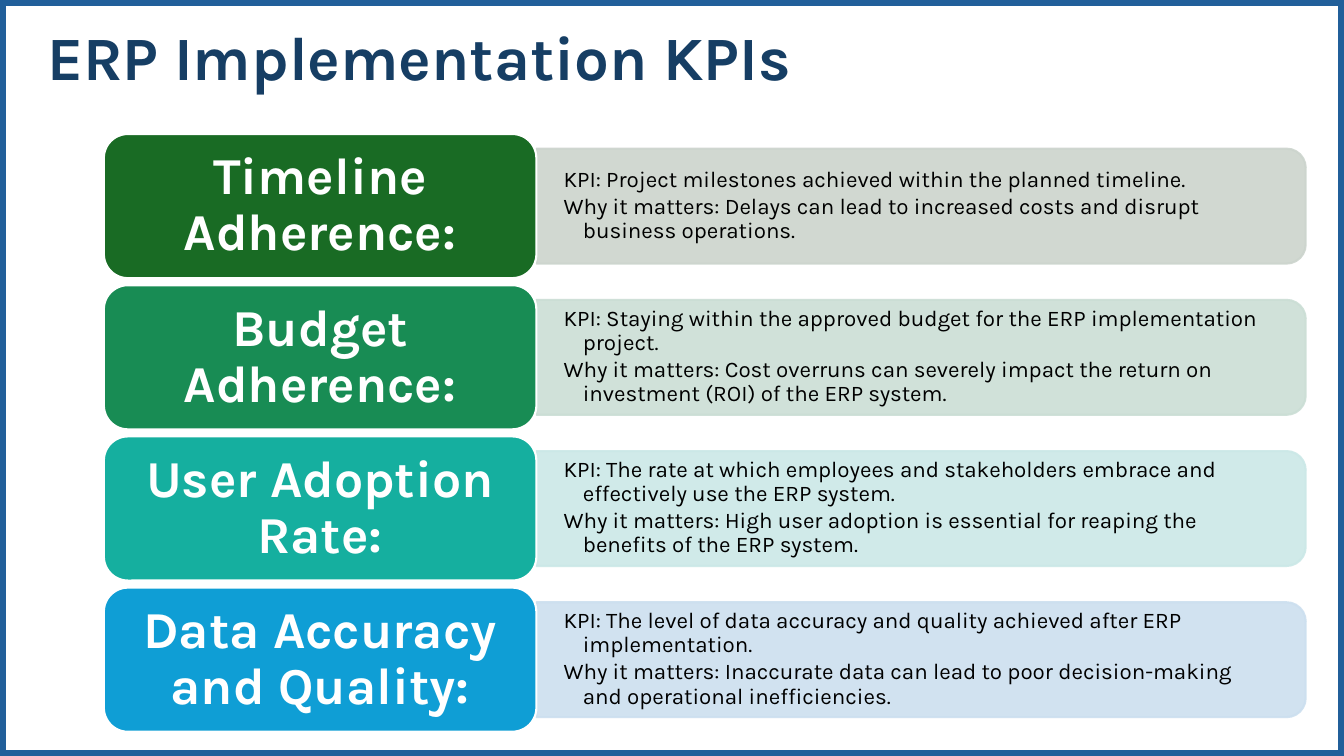
"""Build the ERP implementation KPIs slide."""
from lxml.etree import SubElement
from pptx import Presentation
from pptx.dml.color import RGBColor
from pptx.enum.shapes import MSO_SHAPE
from pptx.enum.text import MSO_ANCHOR, PP_ALIGN
from pptx.oxml.ns import qn
from pptx.util import Inches, Pt

COLORS = {"frame": "215F9A", "title": "163E64", "white": "FFFFFF", "black": "000000"}
FONT = "Karla"
KPIS = [
    ("Timeline Adherence:", "196B24", "CCD4CD",
     "KPI: Project milestones achieved within the planned timeline.",
     "Why it matters: Delays can lead to increased costs and disrupt business operations."),
    ("Budget Adherence:", "188C54", "CBDED5",
     "KPI: Staying within the approved budget for the ERP implementation project.",
     "Why it matters: Cost overruns can severely impact the return on investment (ROI) of the ERP system."),
    ("User Adoption Rate:", "15AF9F", "CBE8E7",
     "KPI: The rate at which employees and stakeholders embrace and effectively use the ERP system.",
     "Why it matters: High user adoption is essential for reaping the benefits of the ERP system."),
    ("Data Accuracy and Quality:", "0F9ED5", "CCDFEF",
     "KPI: The level of data accuracy and quality achieved after ERP implementation.",
     "Why it matters: Inaccurate data can lead to poor decision-making and operational inefficiencies."),
]
ROW_TOP, ROW_PITCH, ROW_HEIGHT = 1.33, 1.5, 1.43
NAME_LEFT, NAME_WIDTH = 1.03, 4.29
DETAIL_LEFT = NAME_LEFT + NAME_WIDTH
DETAIL_WIDTH, DETAIL_HEIGHT = 7.63, 1.14


def add_panel(kind, left, top, width, height, fill, line, weight):
    panel = slide.shapes.add_shape(kind, Inches(left), Inches(top), Inches(width), Inches(height))
    panel.shadow.inherit = False
    if fill:
        panel.fill.solid()
        panel.fill.fore_color.rgb = RGBColor.from_string(fill)
    else:
        panel.fill.background()
    panel.line.color.rgb = RGBColor.from_string(line)
    panel.line.width = Pt(weight)
    return panel


def write(holder, text, size, color, bold, align, inset_x, inset_y):
    frame = holder.text_frame
    frame.word_wrap = True
    frame.vertical_anchor = MSO_ANCHOR.MIDDLE
    frame.margin_left = frame.margin_right = Inches(inset_x)
    frame.margin_top = frame.margin_bottom = Inches(inset_y)
    frame.text = text
    for paragraph in frame.paragraphs:
        paragraph.alignment = align
        paragraph.line_spacing = 0.9
        for run in paragraph.runs:
            run.font.name = FONT
            run.font.size = Pt(size)
            run.font.bold = bold
            run.font.color.rgb = RGBColor.from_string(color)
    return frame


deck = Presentation()
deck.slide_width, deck.slide_height = Inches(13.33), Inches(7.5)
slide = deck.slides.add_slide(deck.slide_layouts[6])

add_panel(MSO_SHAPE.RECTANGLE, 0, 0, 13.33, 7.5, None, COLORS["frame"], 8.75)
title = slide.shapes.add_textbox(Inches(0.37), Inches(-0.12), Inches(11.5), Inches(1.45))
write(title, "ERP Implementation KPIs", 44, COLORS["title"], True, PP_ALIGN.LEFT, 0.1, 0.05)

for row, (name, strong, pale, measure, reason) in enumerate(KPIS):
    top = ROW_TOP + row * ROW_PITCH
    middle = top + ROW_HEIGHT / 2

    band = add_panel(MSO_SHAPE.ROUND_2_SAME_RECTANGLE,
                     DETAIL_LEFT + (DETAIL_WIDTH - DETAIL_HEIGHT) / 2, middle - DETAIL_WIDTH / 2,
                     DETAIL_HEIGHT, DETAIL_WIDTH, pale, pale, 1.5)
    band.rotation = 90
    for tint in band._element.spPr.iter(qn("a:srgbClr")):
        SubElement(tint, qn("a:alpha")).set("val", "90000")

    detail = slide.shapes.add_textbox(Inches(DETAIL_LEFT), Inches(middle - 0.52),
                                      Inches(7.58), Inches(1.03))
    lines = write(detail, f"{measure}\n{reason}", 16, COLORS["black"], False,
                  PP_ALIGN.LEFT, 0.27, 0.14)
    for paragraph in lines.paragraphs:
        paragraph.space_after = Pt(2)
        properties = paragraph._p.get_or_add_pPr()
        properties.set("marL", str(Inches(0.19)))
        properties.set("indent", str(Inches(-0.19)))

    label = add_panel(MSO_SHAPE.ROUNDED_RECTANGLE, NAME_LEFT, top, NAME_WIDTH, ROW_HEIGHT,
                      strong, COLORS["white"], 1.5)
    write(label, name, 37, COLORS["white"], True, PP_ALIGN.CENTER, 0.15, 0.08)

deck.save("out.pptx")
